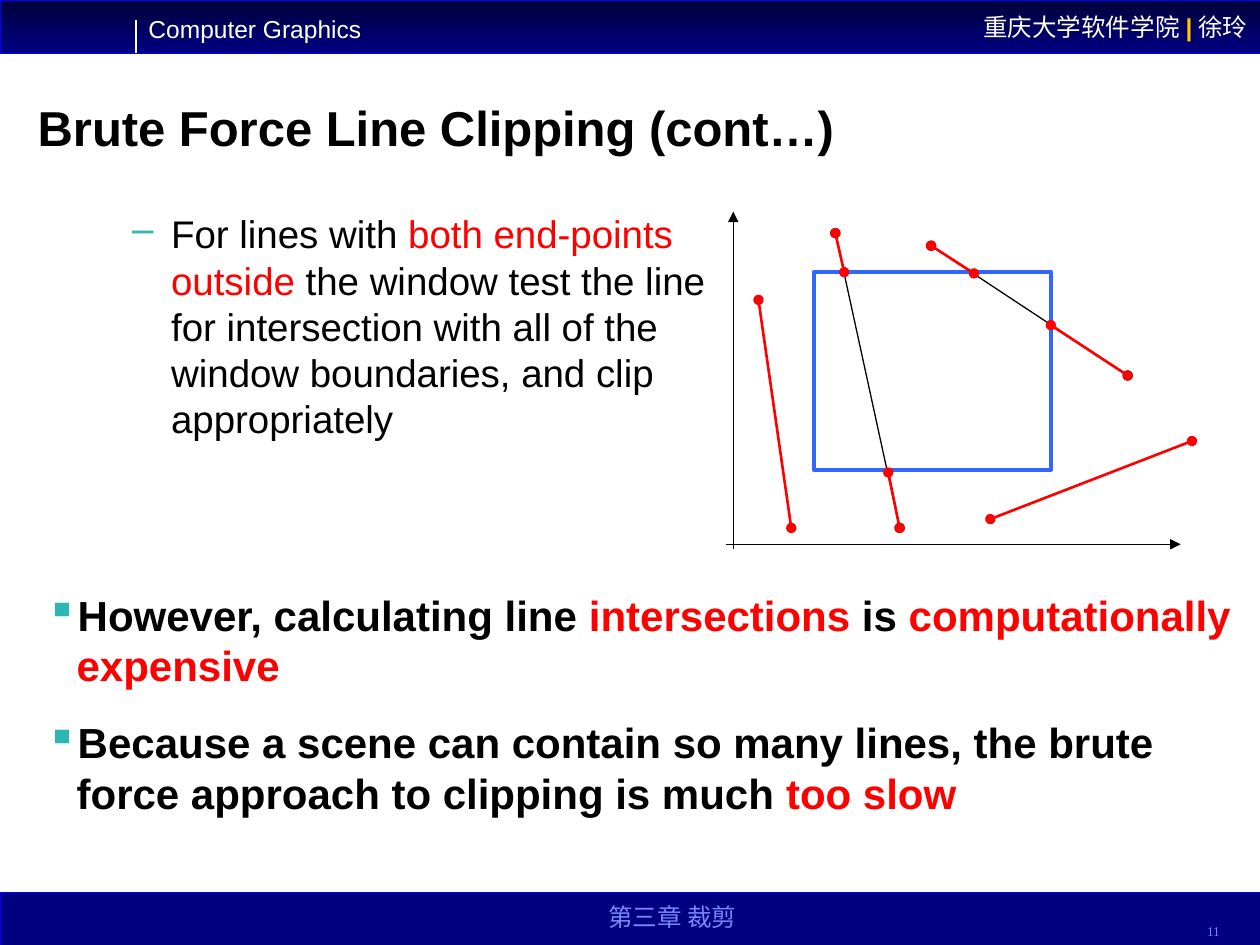
import pptx
import pptx.util
import pptx.dml.color
import pptx.enum.shapes
import pptx.enum.text
import pptx.oxml.ns
import lxml.etree

WIDTH, HEIGHT = pptx.util.Inches(10), pptx.util.Inches(7.5)
COLUMNS, ROWS = 100, 75
BAR_ROWS = 4.2
COLORS = {
    "black": "000000", "white": "FFFFFF", "red": "FF0000", "gold": "FFCC00",
    "night": "00003B", "navy": "000080", "edge": "0000FF", "window": "3366FF",
    "teal": "2DB6B3", "footer": "7889FB",
}
ALIGN = pptx.enum.text.PP_ALIGN
ANCHOR = pptx.enum.text.MSO_ANCHOR


def across(columns):
    return round(WIDTH * columns / COLUMNS)


def down(rows):
    return round(HEIGHT * rows / ROWS)


def place(left, top, width, height):
    return across(left), down(top), across(width), down(height)


def color(name):
    return pptx.dml.color.RGBColor.from_string(COLORS[name])


def add_element(parent, tag, **attributes):
    return lxml.etree.SubElement(parent, pptx.oxml.ns.qn(tag), attributes)


def add_rectangle(page, area, line, points, fill=None):
    box = page.shapes.add_shape(
        pptx.enum.shapes.MSO_SHAPE.RECTANGLE, *place(*area))
    box.shadow.inherit = False
    box.line.color.rgb = color(line)
    box.line.width = pptx.util.Pt(points)
    if fill:
        box.fill.solid()
        box.fill.fore_color.rgb = color(fill)
    else:
        box.fill.background()
    return box


def add_line(page, start, end, name="black", points=0.75, head=None, tail=None):
    line = page.shapes.add_connector(
        pptx.enum.shapes.MSO_CONNECTOR.STRAIGHT,
        across(start[0]), down(start[1]), across(end[0]), down(end[1]))
    line.line.color.rgb = color(name)
    line.line.width = pptx.util.Pt(points)
    outline = line.line._get_or_add_ln()
    for tag, kind in (("a:headEnd", head), ("a:tailEnd", tail)):
        if kind:
            add_element(outline, tag, type=kind)
    add_element(line._element.spPr, "a:effectLst")


def add_dotted_line(page, start, end, name="red", points=1.5):
    add_line(page, start, end, name, points, "oval", "oval")


def add_clipped_line(page, start, entry, leaving, end):
    add_dotted_line(page, start, end, "black", 0.75)
    add_dotted_line(page, start, entry)
    add_dotted_line(page, leaving, end)


def add_spans(para, spans, size, font="Arial", bold=False):
    for text, name in spans:
        span = para.add_run()
        span.text = text
        span.font.name = font
        span.font.size = pptx.util.Pt(size)
        span.font.bold = bold
        span.font.color.rgb = color(name)


def add_text(page, area, anchor=ANCHOR.TOP):
    box = page.shapes.add_textbox(*place(*area))
    box.text_frame.word_wrap = True
    box.text_frame.vertical_anchor = anchor
    return box.text_frame


def add_label(page, area, text, name, size, font="Arial", bold=False,
              align=ALIGN.LEFT, anchor=ANCHOR.BOTTOM, spacing=1.0):
    para = add_text(page, area, anchor).paragraphs[0]
    para.alignment = align
    para.line_spacing = spacing
    add_spans(para, [(text, name)], size, font, bold)


def add_bullets(page, area, items, mark, margin, hanging, size, bold, before, after):
    frame = add_text(page, area)
    for index, spans in enumerate(items):
        para = frame.add_paragraph() if index else frame.paragraphs[0]
        properties = para._p.get_or_add_pPr()
        properties.set("marL", str(across(margin)))
        properties.set("indent", str(-across(hanging)))
        tint = add_element(properties, "a:buClr")
        add_element(tint, "a:srgbClr", val=COLORS["teal"])
        add_element(properties, "a:buChar", char=mark)
        para.space_before = pptx.util.Pt(before if index else 0)
        para.space_after = pptx.util.Pt(after)
        add_spans(para, spans, size, bold=bold)


def add_header(page):
    bar = add_rectangle(page, (0, 0, COLUMNS, BAR_ROWS), "edge", 0.25, "night")
    bar.fill.gradient()
    bar.fill.gradient_angle = 270
    for stop, position, name in zip(bar.fill.gradient_stops, (0, 1), ("night", "navy")):
        stop.position = position
        stop.color.rgb = color(name)
    bar.text_frame.vertical_anchor = ANCHOR.MIDDLE
    para = bar.text_frame.paragraphs[0]
    para.alignment = ALIGN.RIGHT
    add_spans(para, [("重庆大学软件学院", "white")], 14)
    add_spans(para, [("|", "gold")], 14, bold=True)
    add_spans(para, [("徐玲", "white")], 14)
    add_label(page, (10.8, 0.6, 18.9, 3.4), "Computer Graphics", "white", 14,
              anchor=ANCHOR.TOP)
    add_line(page, (10.8, 1.6), (10.8, BAR_ROWS), "white")


def add_footer(page):
    add_rectangle(page, (0, ROWS - BAR_ROWS, COLUMNS, BAR_ROWS), "edge", 0.25, "navy")
    add_label(page, (37.5, 70.6, 31.7, 3.8), "第三章 裁剪", "footer", 14,
              "Times New Roman", align=ALIGN.CENTER)
    add_label(page, (87.8, 71.2, 10, 3.8), "11", "footer", 7.6,
              "Times New Roman", align=ALIGN.RIGHT, spacing=0.8)


def add_diagram(page):
    add_line(page, (57.6, 43.2), (93.7, 43.2), tail="triangle")
    add_line(page, (58.2, 43.6), (58.2, 16.8), tail="triangle")
    add_rectangle(page, (64.6, 21.6, 18.8, 15.7), "window", 2.25)
    add_clipped_line(page, (73.9, 19.5), (77.3, 21.7), (83.4, 25.8), (89.5, 29.8))
    add_clipped_line(page, (66.3, 18.5), (67, 21.6), (70.5, 37.5), (71.4, 41.9))
    add_dotted_line(page, (94.6, 35), (78.6, 41.2))
    add_dotted_line(page, (60.2, 23.8), (62.8, 41.9))


def main():
    deck = pptx.Presentation()
    deck.slide_width, deck.slide_height = WIDTH, HEIGHT
    page = deck.slides.add_slide(deck.slide_layouts[6])
    add_header(page)
    add_footer(page)
    add_label(page, (2, 7.6, 90.2, 5.4), "Brute Force Line Clipping (cont…)",
              "black", 28, bold=True, spacing=0.9)
    add_bullets(page, (3.5, 16.2, 57.5, 21.1), [
        [("For lines with ", "black"), ("both end-points outside", "red"),
         (" the window test the line for intersection with all of the window "
          "boundaries, and clip appropriately", "black")],
    ], "–", 9.1, 3.1, 22, False, 6.9, 4.1)
    add_bullets(page, (2.7, 46.3, 97.3, 21.9), [
        [("However, calculating line ", "black"), ("intersections", "red"),
         (" is ", "black"), ("computationally expensive", "red")],
        [("Because a scene can contain so many lines, the brute force approach "
          "to clipping is much ", "black"), ("too slow", "red")],
    ], "▪", 2.4, 2.4, 24, True, 10.5, 4.5)
    add_diagram(page)
    deck.save("out.pptx")


if __name__ == "__main__":
    main()
